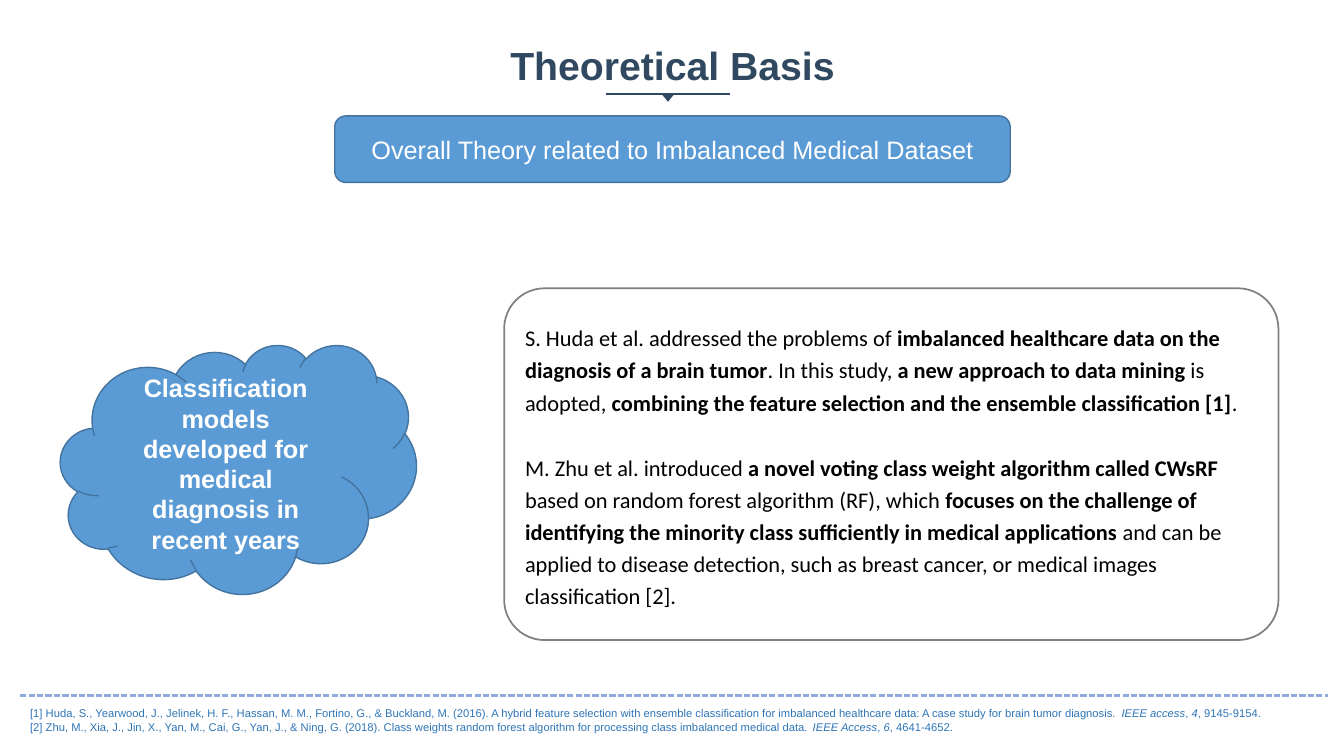
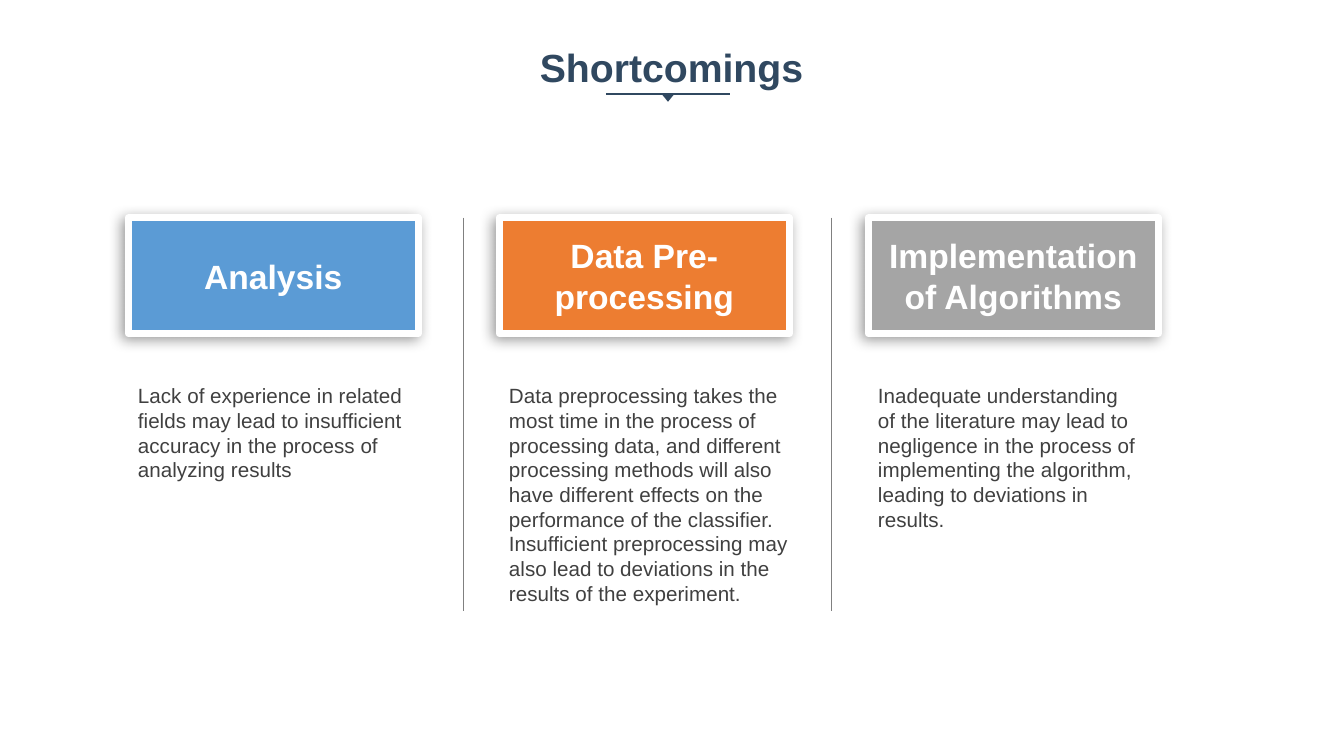
from dataclasses import dataclass

from lxml.etree import SubElement
from pptx import Presentation
from pptx.dml.color import RGBColor
from pptx.enum.dml import MSO_LINE
from pptx.enum.shapes import MSO_CONNECTOR, MSO_SHAPE
from pptx.enum.text import MSO_ANCHOR, MSO_AUTO_SIZE, PP_ALIGN
from pptx.oxml.ns import qn
from pptx.util import Emu, Pt

PX = 9144  # EMU per px, 100 px to the inch

NAVY = "304860"
BLUE = "5B9BD5"
BLUE_EDGE = "43739E"
ORANGE = "ED7D31"
SILVER = "A5A5A5"
GRAY = "808080"
WHITE = "FFFFFF"


@dataclass(frozen=True)
class TextStyle:
    size: float
    color: str
    font: str = "Arial"
    bold: bool = False
    align: PP_ALIGN = PP_ALIGN.LEFT
    line_spacing: float = 1.0
    gap: float = 0  # points between paragraphs
    emphasis: str = "bold"  # font attribute of every second span


@dataclass(frozen=True)
class Column:
    left: int
    heading: str
    fill: str
    body: str
    body_width: int
    body_height: int


TITLE = TextStyle(28, NAVY, bold=True, align=PP_ALIGN.CENTER)
BANNER = TextStyle(18, WHITE, align=PP_ALIGN.CENTER)
CLOUD = TextStyle(18, WHITE, bold=True, align=PP_ALIGN.CENTER)
STUDY = TextStyle(16, "000000", font="Calibri", line_spacing=1.2, gap=23.4)
REFERENCE = TextStyle(8, "2E75B6", emphasis="italic")
CARD = TextStyle(24, WHITE, bold=True, align=PP_ALIGN.CENTER)
BODY = TextStyle(14.7, "404040")

# Spans alternate between plain and emphasised text
STUDIES = [
    ["S. Huda et al. addressed the problems of ",
     "imbalanced healthcare data on the diagnosis of a brain tumor",
     ". In this study, ",
     "a new approach to data mining ",
     "is adopted, ",
     "combining the feature selection and the ensemble classification [1]",
     "."],
    ["M. Zhu et al. introduced ",
     "a novel voting class weight algorithm called CWsRF ",
     "based on random forest algorithm (RF), which ",
     "focuses on the challenge of identifying the minority class "
     "sufficiently in medical applications ",
     "and can be applied to disease detection, such as breast cancer, "
     "or medical images classification [2]."],
]
REFERENCES = [
    ["[1] Huda, S., Yearwood, J., Jelinek, H. F., Hassan, M. M., Fortino, G., "
     "& Buckland, M. (2016). A hybrid feature selection with ensemble "
     "classification for imbalanced healthcare data: A case study for brain "
     "tumor diagnosis. ",
     "IEEE access", ", ", "4", ", 9145-9154."],
    ["[2] Zhu, M., Xia, J., Jin, X., Yan, M., Cai, G., Yan, J., & Ning, G. "
     "(2018). Class weights random forest algorithm for processing class "
     "imbalanced medical data. ",
     "IEEE Access", ", ", "6", ", 4641-4652."],
]
COLUMNS = [
    Column(127, "Analysis", BLUE,
           "Lack of experience in related fields may lead to insufficient "
           "accuracy in the process of analyzing results", 288, 109),
    Column(495, "Data Pre-processing", ORANGE,
           "Data preprocessing takes the most time in the process of "
           "processing data, and different processing methods will also have "
           "different effects on the performance of the classifier. "
           "Insufficient preprocessing may also lead to deviations in the "
           "results of the experiment.", 297, 232),
    Column(861, "Implementation of Algorithms", SILVER,
           "Inadequate understanding of the literature may lead to "
           "negligence in the process of implementing the algorithm, "
           "leading to deviations in results.", 276, 158),
]


def px(*lengths: int) -> list[Emu]:
    return [Emu(n * PX) for n in lengths]


def rgb(color: str) -> RGBColor:
    return RGBColor.from_string(color)


def write(tf, paragraphs: list[list[str]], style: TextStyle) -> None:
    for i, spans in enumerate(paragraphs):
        p = tf.paragraphs[0] if i == 0 else tf.add_paragraph()
        p.alignment = style.align
        p.line_spacing = style.line_spacing
        if i and style.gap:
            p.space_before = Pt(style.gap)
        for j, span in enumerate(spans):
            r = p.add_run()
            r.text = span
            r.font.name = style.font
            r.font.size = Pt(style.size)
            r.font.color.rgb = rgb(style.color)
            r.font.bold = style.bold
            if j % 2:
                setattr(r.font, style.emphasis, True)


def add_text(s, box: tuple, paragraphs: list[list[str]], style: TextStyle,
             wrap: bool = True) -> None:
    tf = s.shapes.add_textbox(*px(*box)).text_frame
    tf.word_wrap = wrap
    tf.auto_size = MSO_AUTO_SIZE.SHAPE_TO_FIT_TEXT
    write(tf, paragraphs, style)


def add_shape(s, kind: MSO_SHAPE, box: tuple, fill: str | None = None,
              edge: str | None = None, width: float = 1):
    sp = s.shapes.add_shape(kind, *px(*box))
    sp.shadow.inherit = False
    if fill:
        sp.fill.solid()
        sp.fill.fore_color.rgb = rgb(fill)
    else:
        sp.fill.background()
    if edge:
        sp.line.color.rgb = rgb(edge)
        sp.line.width = Pt(width)
    else:
        sp.line.fill.background()
    sp.text_frame.word_wrap = True
    sp.text_frame.vertical_anchor = MSO_ANCHOR.MIDDLE
    return sp


def add_line(s, ends: tuple, color: str, width: float,
             dash: MSO_LINE | None = None) -> None:
    line = s.shapes.add_connector(MSO_CONNECTOR.STRAIGHT, *px(*ends))
    line.line.color.rgb = rgb(color)
    line.line.width = Pt(width)
    if dash:
        line.line.dash_style = dash
    SubElement(line._element.spPr, qn("a:effectLst"))


def add_soft_shadow(sp) -> None:
    effects = sp._element.spPr.find(qn("a:effectLst"))
    shadow = SubElement(effects, qn("a:outerShdw"), blurRad=str(Pt(10)),
                        dist=str(Pt(3)), dir=str(135 * 60000),
                        algn="tr", rotWithShape="0")
    color = SubElement(shadow, qn("a:srgbClr"), val="000000")
    SubElement(color, qn("a:alpha"), val="40000")


def add_titled_slide(prs, title: str, box: tuple):
    s = prs.slides.add_slide(prs.slide_layouts[6])
    # Rule with a small pointer under the title
    add_line(s, (601, 93, 724, 93), NAVY, 1.5)
    pointer = add_shape(s, MSO_SHAPE.ISOSCELES_TRIANGLE, (656, 93, 13, 8), NAVY)
    pointer.rotation = 180
    add_text(s, box, [[title]], TITLE, wrap=False)
    return s


def build_theory(prs) -> None:
    s = add_titled_slide(prs, "Theoretical Basis", (494, 36, 346, 57))

    # Banner
    banner = add_shape(s, MSO_SHAPE.ROUNDED_RECTANGLE, (332, 115, 670, 66),
                       BLUE, BLUE_EDGE)
    write(banner.text_frame,
          [["Overall Theory related to Imbalanced Medical Dataset"]], BANNER)

    # Studies
    panel = add_shape(s, MSO_SHAPE.ROUNDED_RECTANGLE, (500, 286, 768, 349),
                      edge=GRAY, width=1.25)
    panel.adjustments[0] = 0.115
    tf = panel.text_frame
    tf.margin_left = tf.margin_right = px(9)[0]
    write(tf, STUDIES, STUDY)

    # Topic cloud
    cloud = add_shape(s, MSO_SHAPE.CLOUD, (60, 342, 353, 247), BLUE, BLUE_EDGE)
    write(cloud.text_frame, [["Classification models developed for medical "
                              "diagnosis in recent years"]], CLOUD)

    # References
    add_line(s, (20, 690, 1317, 690), "8FAADC", 1.5, MSO_LINE.SQUARE_DOT)
    add_text(s, (20, 696, 1252, 37), REFERENCES, REFERENCE, wrap=False)


def build_shortcomings(prs) -> None:
    s = add_titled_slide(prs, "Shortcomings", (524, 38, 284, 57))

    # Column dividers
    for x in (459, 824):
        add_line(s, (x, 216, x, 606), GRAY, 0.25)

    # Heading cards with their explanations
    for column in COLUMNS:
        card = add_shape(s, MSO_SHAPE.RECTANGLE, (column.left, 216, 288, 115),
                         column.fill, WHITE, 5)
        add_soft_shadow(card)
        write(card.text_frame, [[column.heading]], CARD)
        add_text(s, (column.left, 375, column.body_width, column.body_height),
                 [[column.body]], BODY)


def main() -> None:
    prs = Presentation()
    prs.slide_width, prs.slide_height = px(1333, 750)
    build_theory(prs)
    build_shortcomings(prs)
    prs.save("out.pptx")


if __name__ == "__main__":
    main()
